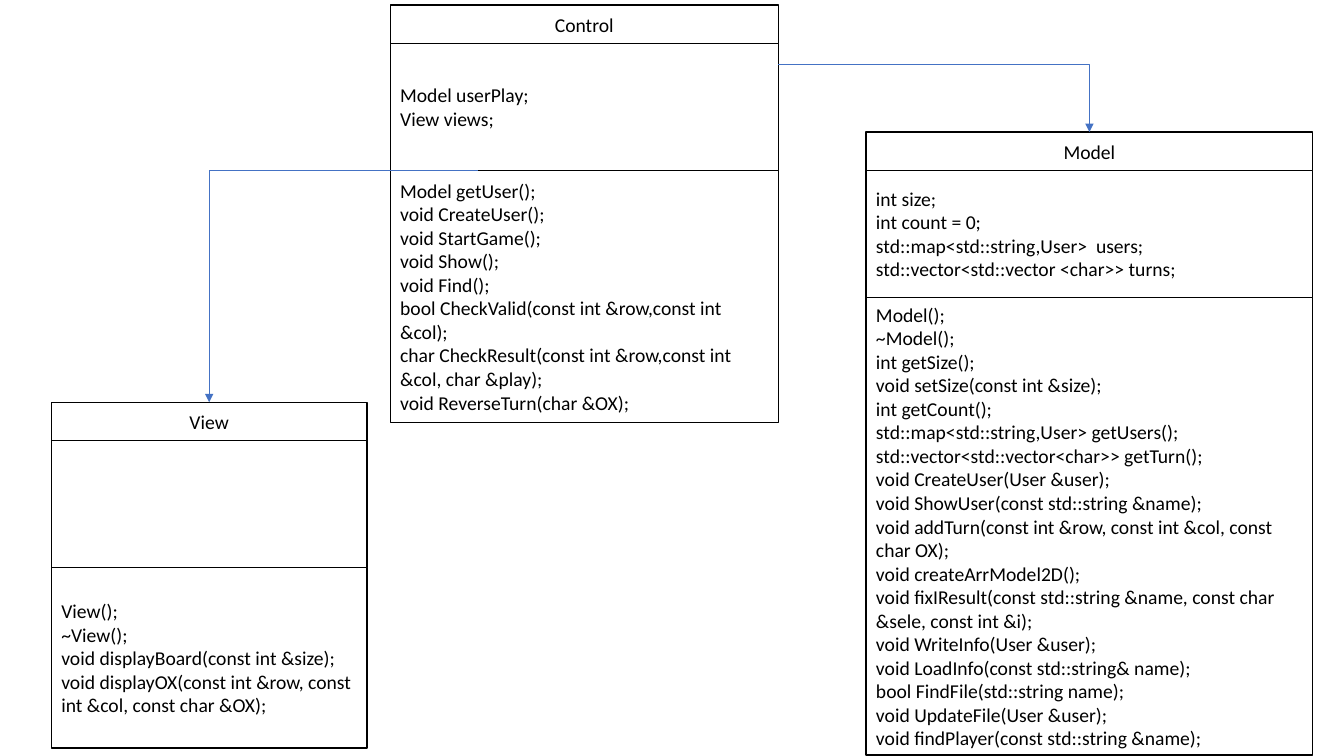
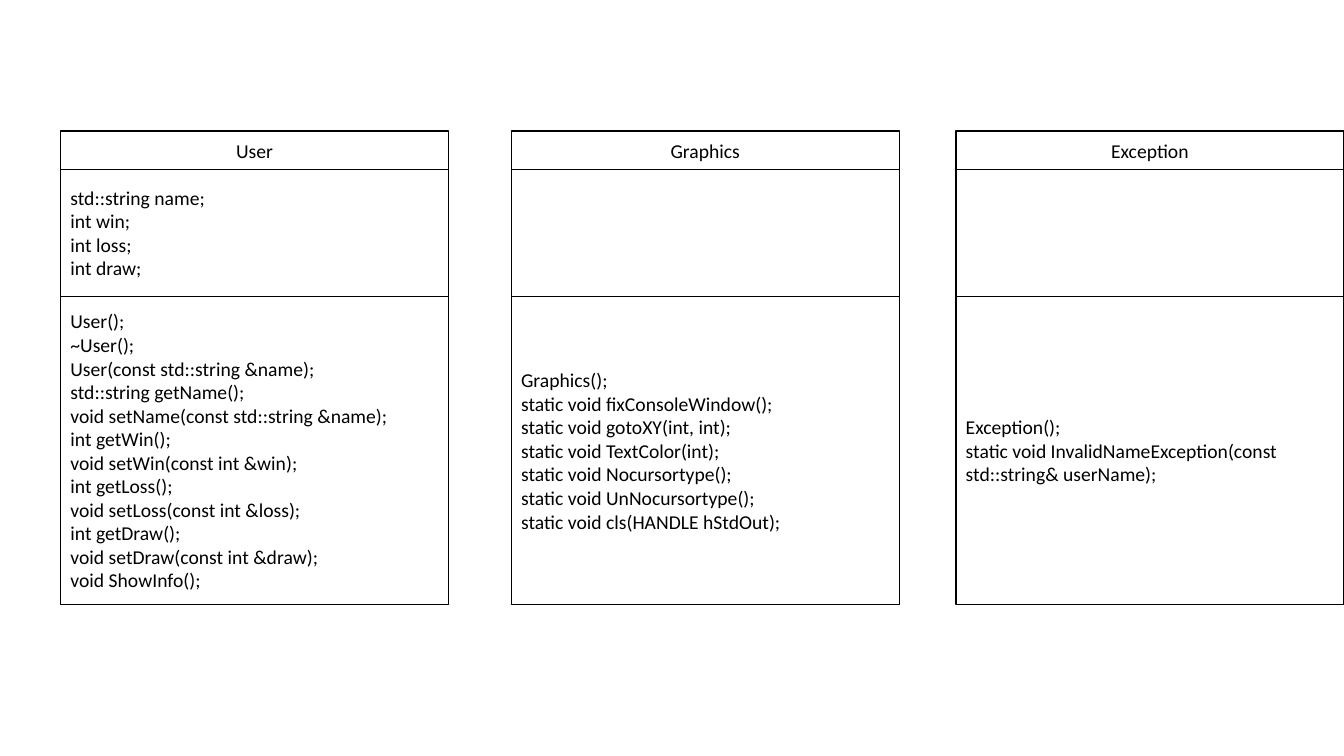
from dataclasses import dataclass

from pptx import Presentation
from pptx.dml.color import RGBColor as RGB
from pptx.enum.shapes import MSO_CONNECTOR as Link, MSO_SHAPE as Preset
from pptx.enum.text import MSO_ANCHOR as Anchor, PP_ALIGN as Align
from pptx.oxml.ns import qn
from pptx.util import Inches, Pt
from lxml.etree import SubElement


@dataclass(frozen=True)
class Theme:
    paper: RGB = RGB(0xFF, 0xFF, 0xFF)
    ink: RGB = RGB(0, 0, 0)
    arrow: RGB = RGB(0x44, 0x72, 0xC4)
    font: str = "Calibri"
    size: Pt = Pt(14)
    border: Pt = Pt(1)
    arrow_line: Pt = Pt(0.5)


theme = Theme()
NAME_ROW, FIELD_ROW = 0.38, 1.26
CLASS_WIDTH = 3.85

deck = Presentation()
deck.slide_width, deck.slide_height = Inches(13.33), Inches(7.5)
blank = deck.slide_layouts[6]


# A class box: name, fields and methods stacked; returns the name row
def add_class(slide, left, top, width, method_row, name, fields, methods):
    rows = []
    for height, lines, align in (
        (NAME_ROW, [name], Align.CENTER),
        (FIELD_ROW, fields, Align.LEFT),
        (method_row, methods, Align.LEFT),
    ):
        row = slide.shapes.add_shape(
            Preset.RECTANGLE, Inches(left), Inches(top), Inches(width), Inches(height))
        row.shadow.inherit = False
        row.fill.solid()
        row.fill.fore_color.rgb = theme.paper
        row.line.color.rgb = theme.ink
        row.line.width = theme.border
        row.text_frame.word_wrap = True
        row.text_frame.vertical_anchor = Anchor.MIDDLE
        row.text_frame.text = "\n".join(lines)
        for line in row.text_frame.paragraphs:
            line.alignment = align
            line.font.name = theme.font
            line.font.size = theme.size
            line.font.color.rgb = theme.ink
        rows.append(row)
        top += height
    return rows[0]


# An arrow that runs sideways, then down to the top of a class
def add_arrow(slide, x, y, target):
    arrow = slide.shapes.add_connector(
        Link.ELBOW, Inches(x), Inches(y), target.left + target.width // 2, target.top)
    arrow.end_connect(target, 0)
    arrow.line.color.rgb = theme.arrow
    arrow.line.width = theme.arrow_line
    properties = arrow._element.spPr
    properties.find(qn("a:prstGeom")).set("prst", "bentConnector2")
    SubElement(arrow.line._get_or_add_ln(), qn("a:tailEnd"), type="triangle")
    SubElement(properties, qn("a:effectLst"))


# Slide 1: control, model and view
game = deck.slides.add_slide(blank)
control_left, control_top = 3.87, 0.05
add_class(
    game, control_left, control_top, CLASS_WIDTH, 2.5, "Control",
    ["Model userPlay;", "View views;"],
    [
        "Model getUser();",
        "void CreateUser();",
        "void StartGame();",
        "void Show();",
        "void Find();",
        "bool CheckValid(const int &row,const int &col);",
        "char CheckResult(const int &row,const int &col, char &play);",
        "void ReverseTurn(char &OX);",
    ],
)
model = add_class(
    game, 8.59, 1.31, 4.43, 4.54, "Model",
    [
        "int size;",
        "int count = 0;",
        "std::map<std::string,User>  users;",
        "std::vector<std::vector <char>> turns;",
    ],
    [
        "Model();",
        "~Model();",
        "int getSize();",
        "void setSize(const int &size);",
        "int getCount();",
        "std::map<std::string,User> getUsers();",
        "std::vector<std::vector<char>> getTurn();",
        "void CreateUser(User &user);",
        "void ShowUser(const std::string &name);",
        "void addTurn(const int &row, const int &col, const char OX);",
        "void createArrModel2D();",
        "void fixIResult(const std::string &name, const char &sele, const int &i);",
        "void WriteInfo(User &user);",
        "void LoadInfo(const std::string& name);",
        "bool FindFile(std::string name);",
        "void UpdateFile(User &user);",
        "void findPlayer(const std::string &name);",
    ],
)
view = add_class(
    game, 0.51, 3.99, 3.13, 1.79, "View", [],
    [
        "View();",
        "~View();",
        "void displayBoard(const int &size);",
        "void displayOX(const int &row, const int &col, const char &OX);",
    ],
)
add_arrow(game, 4.74, control_top + NAME_ROW + FIELD_ROW, view)
add_arrow(game, control_left + CLASS_WIDTH, 0.64, model)

# Slide 2: supporting classes
support = deck.slides.add_slide(blank)
for left, name, fields, methods in (
    (0.6, "User",
     ["std::string name;", "int win;", "int loss;", "int draw;"],
     [
         "User();",
         "~User();",
         "User(const std::string &name);",
         "std::string getName();",
         "void setName(const std::string &name);",
         "int getWin();",
         "void setWin(const int &win);",
         "int getLoss();",
         "void setLoss(const int &loss);",
         "int getDraw();",
         "void setDraw(const int &draw);",
         "void ShowInfo();",
     ]),
    (5.07, "Graphics", [],
     [
         "Graphics();",
         "static void fixConsoleWindow();",
         "static void gotoXY(int, int);",
         "static void TextColor(int);",
         "static void Nocursortype();",
         "static void UnNocursortype();",
         "static void cls(HANDLE hStdOut);",
     ]),
    (9.48, "Exception", [],
     [
         "Exception();",
         "static void InvalidNameException(const std::string& userName);",
     ]),
):
    add_class(support, left, 1.3, CLASS_WIDTH, 3.06, name, fields, methods)

deck.save("out.pptx")
